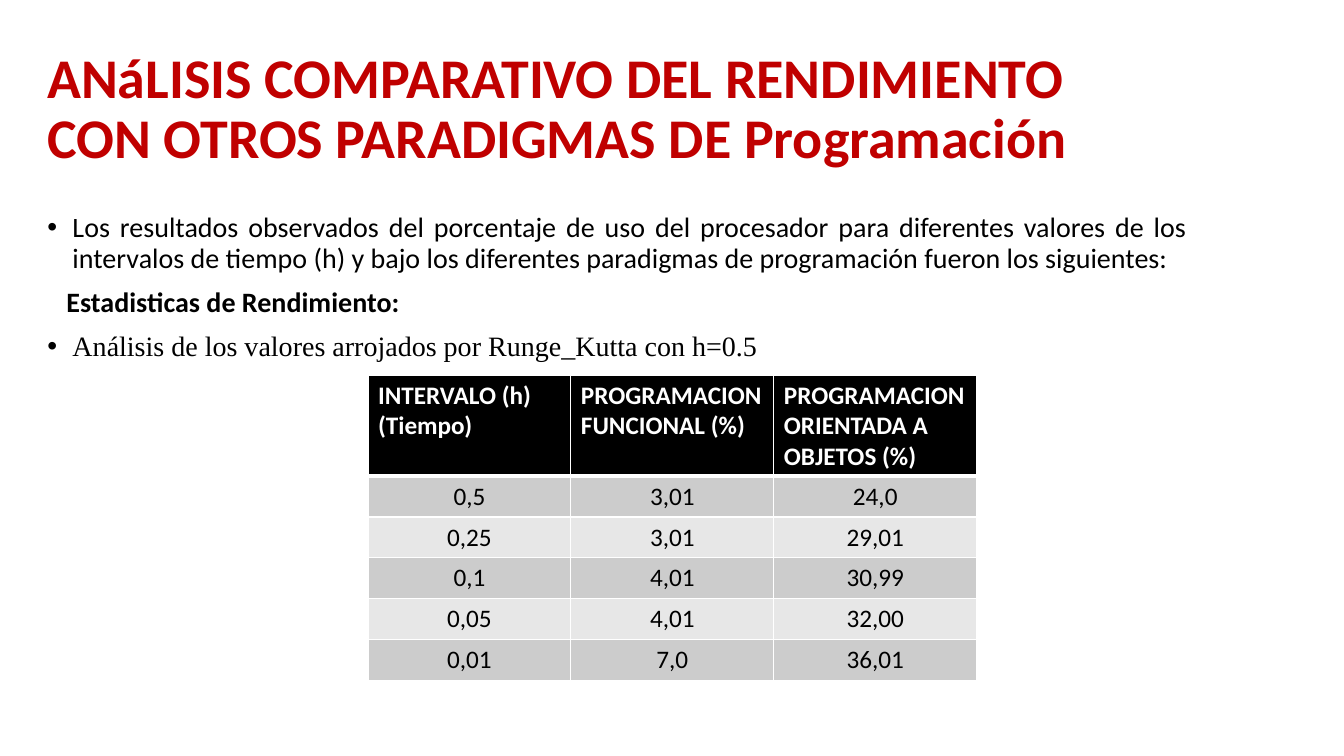
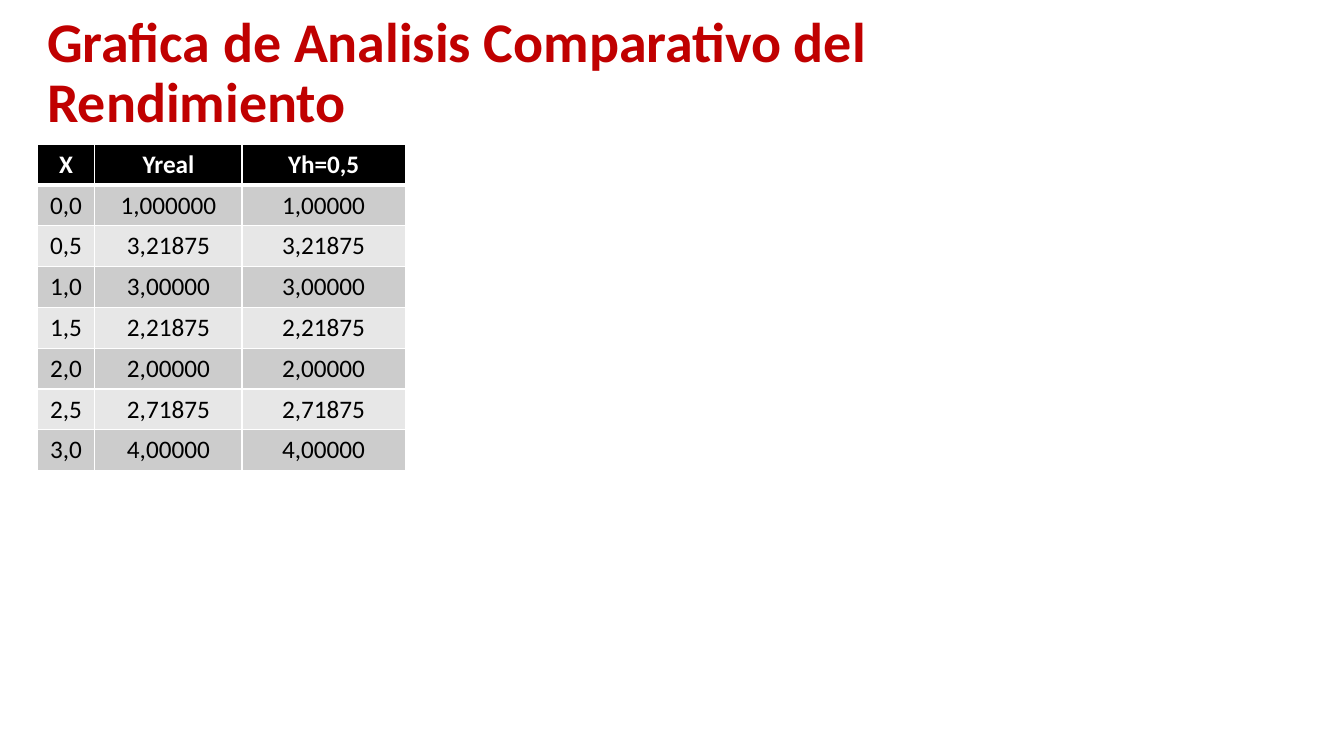
"""Build two slides comparing performance across programming paradigms."""
from dataclasses import dataclass
from typing import Optional

from lxml import etree
from pptx import Presentation, util as u
from pptx.dml.color import RGBColor as Rgb
from pptx.enum import text as t
from pptx.oxml.ns import qn

WIDE, HIGH = u.Inches(13.33), u.Inches(7.5)


@dataclass(frozen=True)
class Theme:
    font: str = "Calibri"
    serif: str = "Times New Roman"
    red: str = "C00000"
    black: str = "000000"
    white: str = "FFFFFF"
    bands: tuple[str, str] = ("CCCCCC", "E7E7E7")
    title: int = 40
    body: int = 20
    cell: int = 18
    gap: int = 10
    lead: float = 0.9
    thin: int = 1
    thick: int = 3
    left: float = 2.78


@dataclass(frozen=True)
class Box:
    """Hold a frame in percent of the slide."""
    x: float
    y: float
    w: float
    h: float

    def frame(self) -> tuple[int, int, int, int]:
        return across(self.x), down(self.y), across(self.w), down(self.h)


@dataclass(frozen=True)
class Line:
    text: str
    font: str
    bold: bool = False
    bullet: bool = False
    indent: float = 0
    align: Optional[t.PP_ALIGN] = None


@dataclass(frozen=True)
class Grid:
    """Hold a table with its sizes in percent of the slide."""
    x: float
    y: float
    cols: tuple[float, ...]
    head: float
    row: float
    rows: tuple[tuple[str, ...], ...]
    align: t.PP_ALIGN


THEME = Theme()


def across(share: float) -> int:
    return round(WIDE * share / 100)


def down(share: float) -> int:
    return round(HIGH * share / 100)


def style(para, size: int, color: str, bold: bool = False, font: str = THEME.font) -> None:
    para.font.name, para.font.size, para.font.bold = font, u.Pt(size), bold
    para.font.color.rgb = Rgb.from_string(color)


def add_box(slide, box: Box):
    frame = slide.shapes.add_textbox(*box.frame()).text_frame
    frame.word_wrap = True
    return frame


def add_title(slide, words: str, high: float) -> None:
    frame = add_box(slide, Box(THEME.left, 4.93, 85.22, high))
    frame.vertical_anchor = t.MSO_ANCHOR.MIDDLE
    para = frame.paragraphs[0]
    para.text, para.line_spacing = words, THEME.lead
    style(para, THEME.title, THEME.red, True)


def add_body(slide, box: Box, lines: tuple[Line, ...]) -> None:
    frame = add_box(slide, box)
    for i, line in enumerate(lines):
        para = frame.add_paragraph() if i else frame.paragraphs[0]
        para.text, para.alignment = line.text, line.align
        para.line_spacing, para.space_before = THEME.lead, u.Pt(THEME.gap)
        style(para, THEME.body, THEME.black, line.bold, line.font)
        props = para._p.get_or_add_pPr()
        props.set("marL", str(u.Inches(line.indent)))
        if line.bullet:
            props.set("indent", str(-u.Inches(line.indent)))
            font = etree.Element(qn("a:buFont"), typeface="Arial")
            mark = etree.Element(qn("a:buChar"), char="•")
            rest = props.find(qn("a:defRPr"))
            rest.addprevious(font)
            rest.addprevious(mark)


def edge(cell, top: int, base: int) -> None:
    props = cell._tc.get_or_add_tcPr()
    sides = {"L": THEME.thin, "R": THEME.thin, "T": top, "B": base}
    for i, (side, size) in enumerate(sides.items()):
        line = etree.Element(qn(f"a:ln{side}"), w=str(u.Pt(size)))
        fill = etree.SubElement(line, qn("a:solidFill"))
        etree.SubElement(fill, qn("a:srgbClr"), val=THEME.white)
        props.insert(i, line)


def add_grid(slide, grid: Grid) -> None:
    count = len(grid.rows)
    box = Box(grid.x, grid.y, sum(grid.cols), grid.head + grid.row * (count - 1))
    table = slide.shapes.add_table(count, len(grid.cols), *box.frame()).table
    table.first_row = table.horz_banding = False
    for col, wide in zip(table.columns, grid.cols):
        col.width = across(wide)
    for r, row in enumerate(grid.rows):
        head = r == 0
        table.rows[r].height = down(grid.head if head else grid.row)
        for c, words in enumerate(row):
            cell = table.cell(r, c)
            cell.text = words
            cell.fill.solid()
            fill = THEME.black if head else THEME.bands[(r - 1) % 2]
            cell.fill.fore_color.rgb = Rgb.from_string(fill)
            edge(cell, THEME.thick if r == 1 else THEME.thin,
                 THEME.thick if head else THEME.thin)
            for para in cell.text_frame.paragraphs:
                para.alignment = grid.align if head else t.PP_ALIGN.CENTER
                style(para, THEME.cell, THEME.white if head else THEME.black, head)


LINES = (
    Line("Los resultados observados del porcentaje de uso del procesador para diferentes "
         "valores de los intervalos de tiempo (h) y bajo los diferentes paradigmas de "
         "programación fueron los siguientes:",
         THEME.font, bullet=True, indent=0.25, align=t.PP_ALIGN.JUSTIFY),
    Line("Estadisticas de Rendimiento:", THEME.font, bold=True, indent=0.19),
    Line("Análisis de los valores arrojados por Runge_Kutta con h=0.5",
         THEME.serif, bullet=True, indent=0.25),
)

USAGE = Grid(27.38, 49.6, (15.1,) * 3, 13.4, 5.4, (
    ("INTERVALO (h)\n(Tiempo)", "PROGRAMACION\nFUNCIONAL (%)",
     "PROGRAMACION\nORIENTADA A OBJETOS (%)"),
    ("0,5", "3,01", "24,0"),
    ("0,25", "3,01", "29,01"),
    ("0,1", "4,01", "30,99"),
    ("0,05", "4,01", "32,00"),
    ("0,01", "7,0", "36,01"),
), t.PP_ALIGN.LEFT)

CURVE = Grid(THEME.left, 19.07, (4.28, 10.95, 12.15), 5.4, 5.4, (
    ("X", "Yreal", "Yh=0,5"),
    ("0,0", "1,000000", "1,00000"),
    ("0,5", "3,21875", "3,21875"),
    ("1,0", "3,00000", "3,00000"),
    ("1,5", "2,21875", "2,21875"),
    ("2,0", "2,00000", "2,00000"),
    ("2,5", "2,71875", "2,71875"),
    ("3,0", "4,00000", "4,00000"),
), t.PP_ALIGN.CENTER)


def main() -> None:
    deck = Presentation()
    deck.slide_width, deck.slide_height = WIDE, HIGH
    blank = deck.slide_layouts[6]

    first = deck.slides.add_slide(blank)
    add_title(first, "ANáLISIS COMPARATIVO DEL RENDIMIENTO CON OTROS PARADIGMAS "
                     "DE Programación", 19.33)
    add_body(first, Box(THEME.left, 27.6, 86.27, 63.47), LINES)
    add_grid(first, USAGE)

    second = deck.slides.add_slide(blank)
    add_title(second, "Grafica de Analisis Comparativo del Rendimiento", 9.87)
    add_grid(second, CURVE)

    deck.save("out.pptx")


if __name__ == "__main__":
    main()
